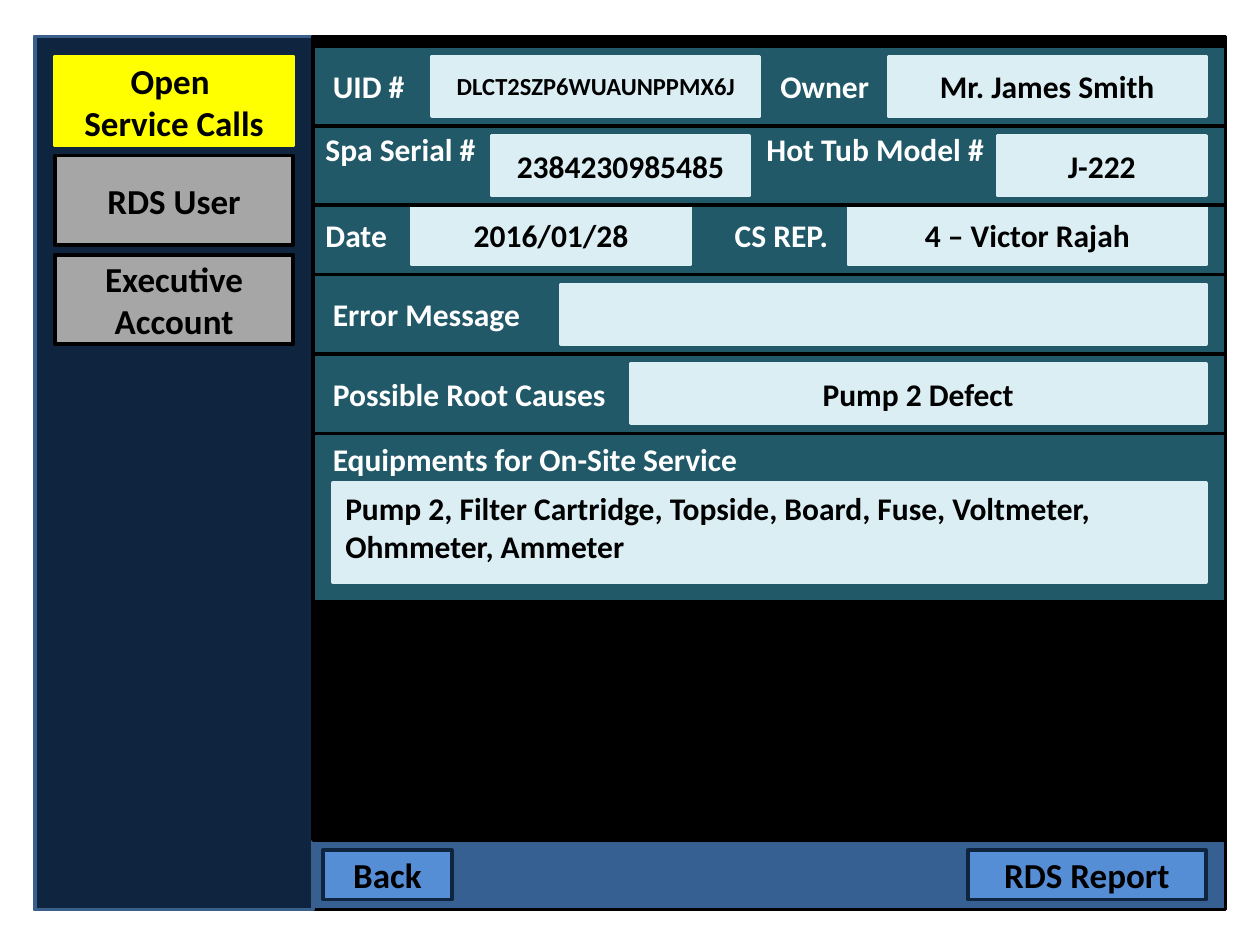
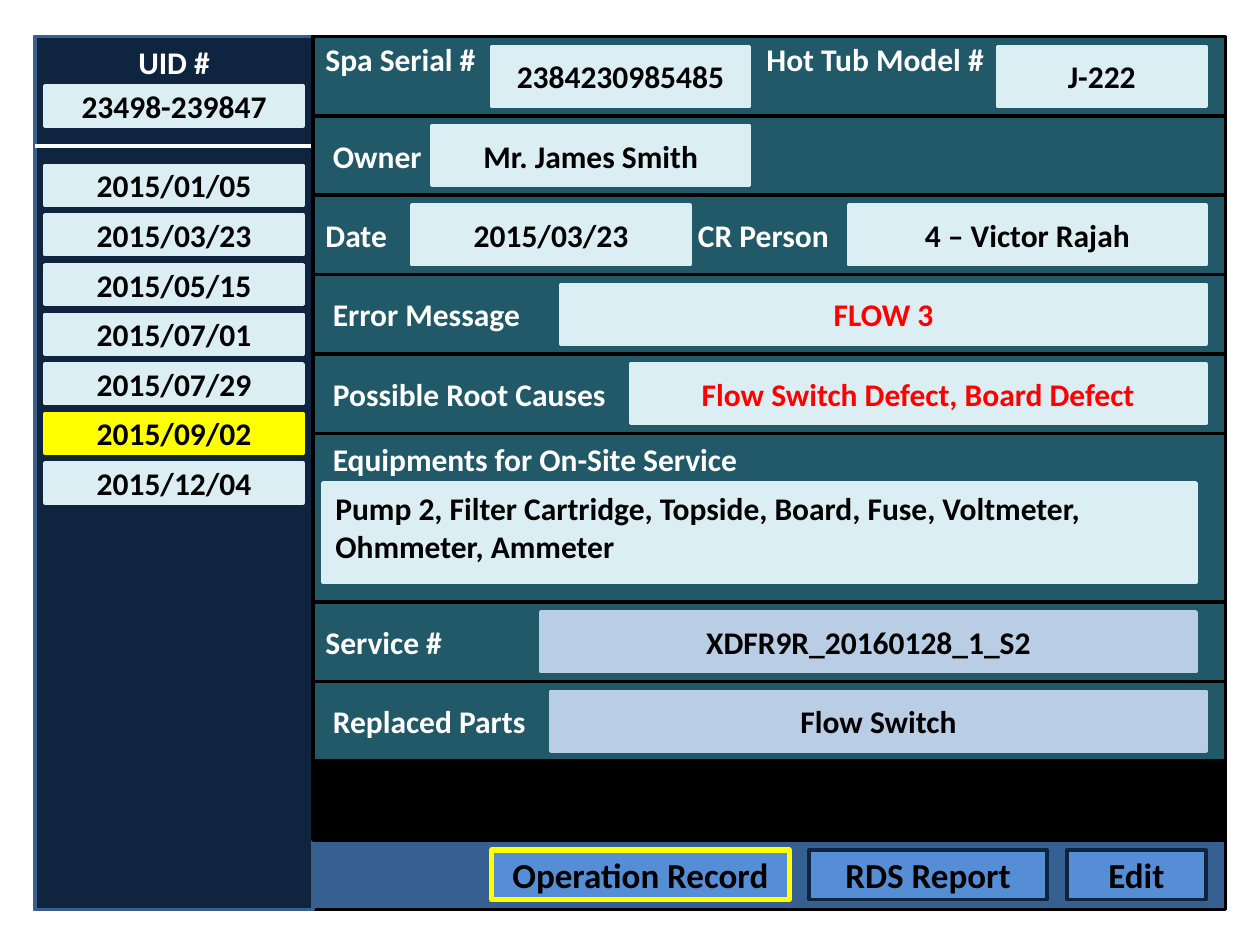
import pptx
import pptx.util
import pptx.dml.color
import pptx.enum.shapes
import pptx.enum.text
import pptx.oxml.ns
import lxml.etree

HUES = {
    "frame": "376092", "side": "0F243E", "edge": "3A5F8C", "row": "215968",
    "field": "DBEEF4", "part": "B9CDE5", "key": "558ED5", "grey": "A6A6A6",
    "mark": "FFFF00", "black": "000000", "white": "FFFFFF", "red": "FF0000",
}
FONT = "Calibri"
UNIT = pptx.util.Mm(2)
LEFT, TOP = pptx.util.Inches(0.28), pptx.util.Inches(0.29)
FRAME = (0, 0, 120, 88)
SIDE = (0, 0, 28, 88)
MAIN = (28, 0, 92, 81)
FOOT = (28, 81, 92, 7)
ALIGN = pptx.enum.text.PP_ALIGN
ANCHOR = pptx.enum.text.MSO_ANCHOR
KIT = "Pump 2, Filter Cartridge, Topside, Board, Fuse, Voltmeter, Ohmmeter, Ammeter"


def span(units):
    """Turn grid units into a length."""
    return pptx.util.Emu(round(units * UNIT))


def hue(name):
    """Look up a colour by name."""
    return pptx.dml.color.RGBColor.from_string(HUES[name])


def inner(box, x, y, wide, high):
    """Place a box relative to the corner of another."""
    return box[0] + x, box[1] + y, wide, high


def panel(slide, box, fill, line, text="", size=18, ink="black",
          align=ALIGN.CENTER, anchor=ANCHOR.MIDDLE, width=2):
    """Draw a rectangle with optional bold text."""
    x, y, wide, high = box
    shape = slide.shapes.add_shape(
        pptx.enum.shapes.MSO_SHAPE.RECTANGLE,
        LEFT + span(x), TOP + span(y), span(wide), span(high))
    shape.shadow.inherit = False
    shape.fill.solid()
    shape.fill.fore_color.rgb = hue(fill)
    shape.line.color.rgb = hue(line)
    shape.line.width = pptx.util.Pt(width)
    frame = shape.text_frame
    frame.word_wrap = True
    frame.vertical_anchor = anchor
    if text:
        frame.text = text
    for para in frame.paragraphs:
        para.alignment = align
        for run in para.runs:
            run.font.name = FONT
            run.font.size = pptx.util.Pt(size)
            run.font.bold = True
            run.font.color.rgb = hue(ink)
    return shape


def stop(shape, units):
    """Set a left tab stop in the first paragraph."""
    props = shape.text_frame.paragraphs[0]._p.get_or_add_pPr()
    name = pptx.oxml.ns.qn
    tabs = lxml.etree.SubElement(props, name("a:tabLst"))
    lxml.etree.SubElement(tabs, name("a:tab"), pos=str(span(units)), algn="l")


def base(deck, title=""):
    """Start a slide with its frame, side bar and main area."""
    slide = deck.slides.add_slide(deck.slide_layouts[6])
    panel(slide, FRAME, "frame", "black")
    panel(slide, SIDE, "side", "edge", title, ink="white", anchor=ANCHOR.TOP)
    panel(slide, MAIN, "black", "black")
    return slide


def band(slide, box, label, inset, fields, tab=0, high=False):
    """Draw one row: its labels, then its value fields."""
    shape = panel(slide, box, "row", "black", label, ink="white",
                  align=ALIGN.LEFT, anchor=ANCHOR.TOP if high else ANCHOR.MIDDLE)
    shape.text_frame.margin_left = span(inset)
    if high:
        shape.text_frame.margin_top = pptx.util.Inches(0.03)
    if tab:
        stop(shape, tab - inset)
    for x, wide, text, *style in fields:
        look = {"fill": "field", "size": 18, "ink": "black"}
        look.update(*style)
        panel(slide, inner(box, x, 1, wide, 6), line=look["fill"], text=text, **look)


def gear(slide, box, x):
    """Draw the equipment block with its list at column x."""
    head = panel(slide, box, "row", "black", "Equipments for On-Site Service",
                 ink="white", align=ALIGN.LEFT, anchor=ANCHOR.TOP)
    head.text_frame.margin_left = span(2)
    panel(slide, inner(box, x, 5, 88, 10), "field", "field", KIT,
          align=ALIGN.LEFT, anchor=ANCHOR.TOP)


def stack(slide, box, rows):
    """Draw the rows from the lowest up, so upper rows overlap lower ones."""
    for y, *parts in reversed(rows):
        band(slide, inner(box, 0, y, box[2], 8), *parts)


def foot(slide, box, keys):
    """Draw the footer buttons."""
    for x, wide, text, line, width in keys:
        panel(slide, inner(box, x, 1, wide, 5), "key", line, text, 20, width=width)


def menu(slide, box, items):
    """Draw the side menu buttons."""
    for i, (text, fill, line) in enumerate(items):
        panel(slide, inner(box, 2, 2 + 10 * i, 24, 9), fill, line, text, 20)


def dates(slide, box, code, days, pick):
    """Draw the unit code, a rule and the list of dates."""
    panel(slide, inner(box, 1, 5, 26, 4), "field", "field", code)
    y = TOP + span(box[1] + 11)
    rule = slide.shapes.add_connector(
        pptx.enum.shapes.MSO_CONNECTOR.STRAIGHT,
        LEFT + span(box[0]), y, LEFT + span(box[0] + box[2]), y)
    rule.line.color.rgb = hue("white")
    rule.line.width = pptx.util.Pt(2.25)
    lxml.etree.SubElement(rule._element.spPr, pptx.oxml.ns.qn("a:effectLst"))
    for i, day in enumerate(days):
        fill = "mark" if day == pick else "field"
        panel(slide, inner(box, 1, 13 + 5 * i, 26, 4), fill, fill, day)


def serial(y):
    """Give the serial and model row at height y."""
    return (y, "Spa Serial #\tHot Tub Model #", 1.25,
            [(18, 26, "2384230985485"), (69, 21, "J-222")], 45.7, True)


def fault(error, cause, style):
    """Give the error and root cause rows."""
    return [(24, "Error Message", 2, [(25, 65, error, style)]),
            (32, "Possible Root Causes", 2, [(32, 58, cause, style)])]


def visit(day, role, tab):
    """Give the date and staff row."""
    return (16, "Date\t" + role, 1.25,
            [(10, 28, day), (54, 36, "4 – Victor Rajah")], tab)


def calls(deck):
    """Build the open service call slide."""
    slide = base(deck)
    menu(slide, SIDE, [("Open \nService Calls", "mark", "mark"),
                       ("RDS User", "grey", "black"),
                       ("Executive Account", "grey", "black")])
    gear(slide, inner(MAIN, 0, 40, 92, 17), 2)
    stack(slide, MAIN, [
        (1, "UID #\tOwner", 2,
         [(12, 33, "DLCT2SZP6WUAUNPPMX6J", {"size": 14}),
          (58, 32, "Mr. James Smith")], 47.1),
        serial(9),
        visit("2016/01/28", "CS REP.", 42.5),
        *fault("", "Pump 2 Defect", {})])
    foot(slide, FOOT, [(1, 13, "Back", "side", 2),
                       (66, 24, "RDS Report", "side", 2)])


def record(deck):
    """Build the service record slide."""
    slide = base(deck, "UID #")
    dates(slide, SIDE, "23498-239847",
          ["2015/01/05", "2015/03/23", "2015/05/15", "2015/07/01",
           "2015/07/29", "2015/09/02", "2015/12/04"], "2015/09/02")
    gear(slide, inner(MAIN, 0, 40, 92, 17), 1)
    stack(slide, MAIN, [
        serial(0),
        (8, "Owner", 2, [(12, 32, "Mr. James Smith")]),
        visit("2015/03/23", "CR Person", 38.8),
        *fault("FLOW 3", "Flow Switch Defect, Board Defect", {"ink": "red"}),
        (57, "Service #", 1.25,
         [(23, 66, "XDFR9R_20160128_1_S2", {"fill": "part"})]),
        (65, "Replaced Parts", 2, [(24, 66, "Flow Switch", {"fill": "part"})])])
    foot(slide, FOOT, [(18, 30, "Operation Record", "mark", 3),
                       (50, 24, "RDS Report", "side", 2),
                       (76, 14, "Edit", "side", 2)])


def main():
    """Build and save the deck."""
    deck = pptx.Presentation()
    deck.slide_width = pptx.util.Inches(10)
    deck.slide_height = pptx.util.Inches(7.5)
    calls(deck)
    record(deck)
    deck.save("out.pptx")


if __name__ == "__main__":
    main()
